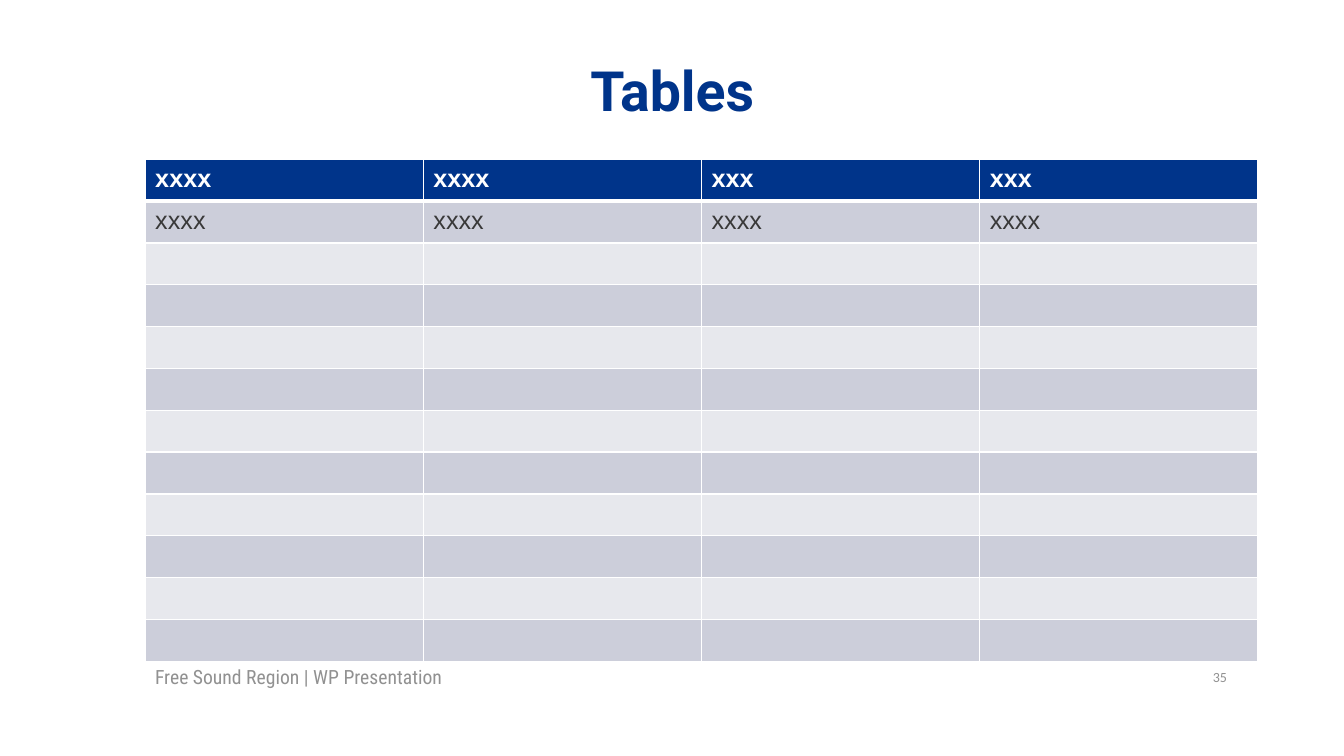
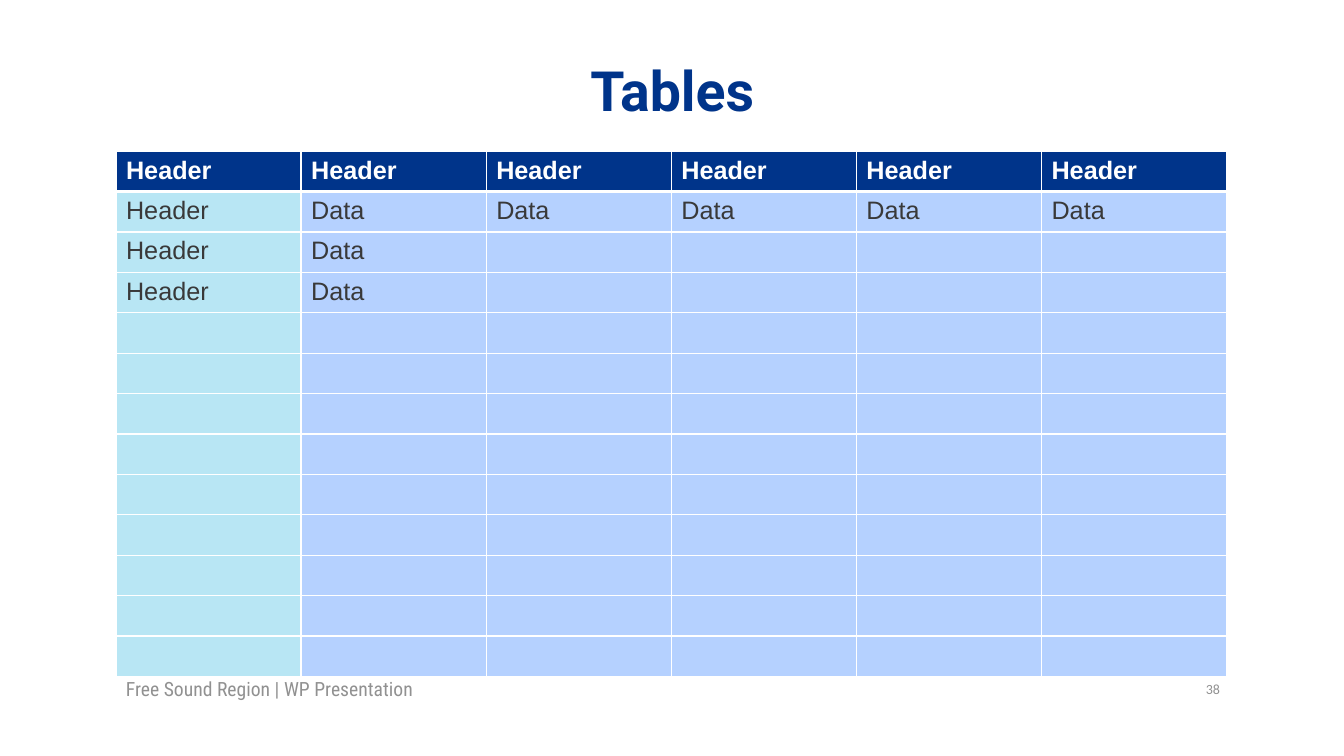
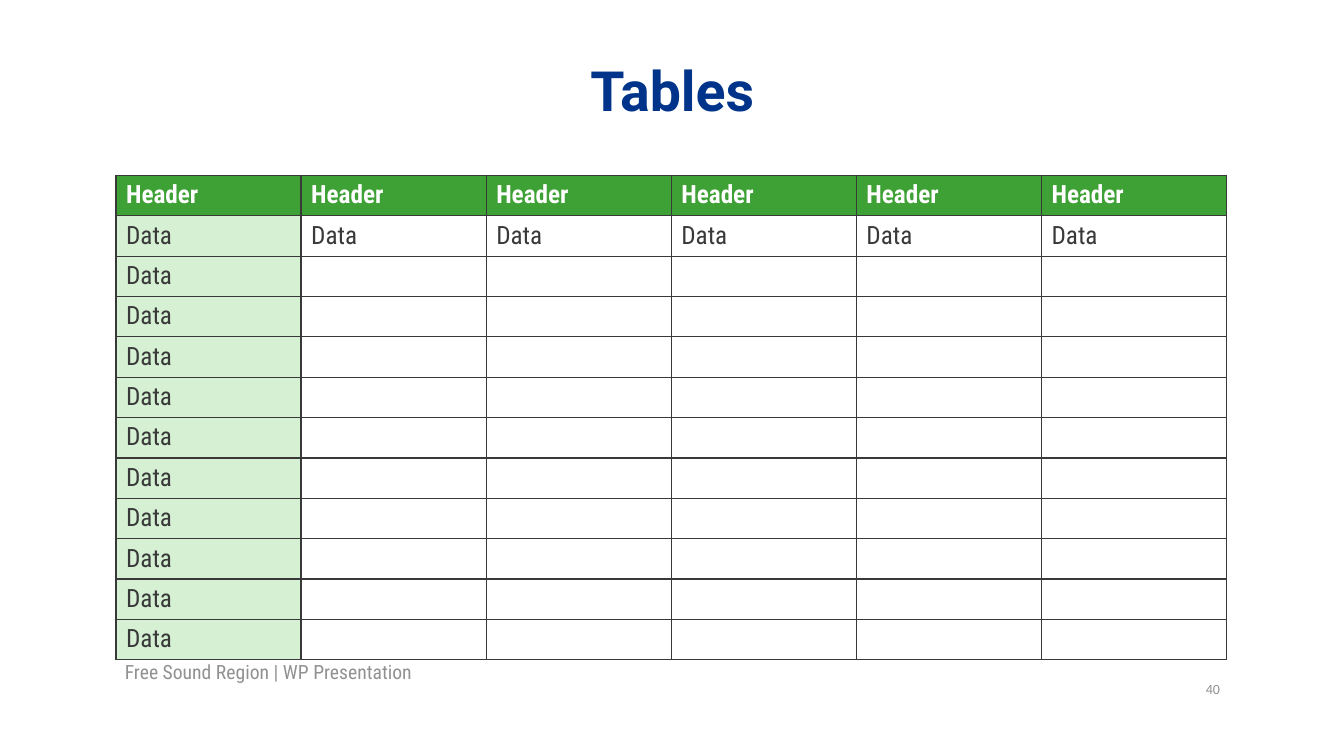
from lxml import etree
from pptx import Presentation
from pptx.dml.color import RGBColor
from pptx.enum.text import MSO_ANCHOR, MSO_AUTO_SIZE, PP_ALIGN
from pptx.oxml.ns import qn
from pptx.util import Inches, Pt

MID = MSO_ANCHOR.MIDDLE
FIXED = MSO_AUTO_SIZE.NONE
LEFT, RIGHT, CENTER = PP_ALIGN.LEFT, PP_ALIGN.RIGHT, PP_ALIGN.CENTER

HUE = {
    "navy": "00348A", "white": "FFFFFF", "ink": "393939", "gray": "919191",
    "dusk": "CCCEDA", "mist": "E7E8ED", "aqua": "B8E6F4", "sky": "B5D1FF",
    "green": "3EA135", "mint": "D5F0D2",
}
CONDENSED = "Roboto Condensed"

deck = Presentation()
deck.slide_width, deck.slide_height = Inches(13.33), Inches(7.5)
COL, ROW = deck.slide_width / 100, deck.slide_height / 100

TABLES = [
    {"page": "35", "at": (10.8, 21.07, 82.8, 66.4), "rows": 12, "cols": 4,
     "text": [["xxxx", "xxxx", "xxx", "xxx"], ["xxxx"] * 4],
     "font": "Arial", "head": "navy", "side": None, "bands": ["dusk", "mist"],
     "line": "white", "rule": 3, "foot": (10.8, 87.87), "num": (86.4, 87.87)},
    {"page": "38", "at": (8.63, 20, 82.65, 69.47), "rows": 13, "cols": 6,
     "text": [["Header"] * 6, ["Header"] + ["Data"] * 5] + [["Header", "Data"]] * 2,
     "font": "Arial", "head": "navy", "side": "aqua", "bands": ["sky"],
     "line": "white", "rule": 3, "foot": (8.63, 89.47), "num": (85.88, 89.47)},
    {"page": "40", "at": (8.63, 23.2, 82.65, 63.07), "rows": 12, "cols": 6,
     "text": [["Header"] * 6, ["Data"] * 6] + [["Data"]] * 10,
     "font": CONDENSED, "head": "green", "side": "mint", "bands": ["white"],
     "line": "ink", "rule": 1, "foot": (8.55, 87.2), "num": (85.88, 89.47)},
]


def place(left, top, width, height):
    return int(left * COL), int(top * ROW), int(width * COL), int(height * ROW)


def write(frame, text, size, face, hue, bold=False, align=LEFT):
    frame.text = text
    para = frame.paragraphs[0]
    para.alignment = align
    font = para.runs[0].font
    font.size, font.name, font.bold = Pt(size), face, bold
    font.color.rgb = RGBColor.from_string(HUE[hue])


for plan in TABLES:
    slide = deck.slides.add_slide(deck.slide_layouts[5])

    title = slide.shapes.title
    title.left, title.top, title.width, title.height = place(11.85, 9.6, 76.35, 5.6)
    frame = title.text_frame
    write(frame, "Tables", 39.6, "Roboto", "navy", True, CENTER)
    frame.paragraphs[0].line_spacing = 0.9
    frame.vertical_anchor, frame.auto_size = MID, FIXED
    frame.margin_top = frame.margin_bottom = 0

    for text, spot, width, size, face, align in [
        ("Free Sound Region | WP Presentation", plan["foot"], 82.65, 14, CONDENSED, LEFT),
        (plan["page"], plan["num"], 5.63, 10, "Calibri", RIGHT),
    ]:
        frame = slide.shapes.add_textbox(*place(*spot, width, 3.33)).text_frame
        write(frame, text, size, face, "gray", align=align)
        frame.word_wrap, frame.vertical_anchor = True, MID

    table = slide.shapes.add_table(plan["rows"], plan["cols"], *place(*plan["at"])).table
    table.first_row = table.horz_banding = False
    for r in range(plan["rows"]):
        words = plan["text"][r] if r < len(plan["text"]) else []
        for c in range(plan["cols"]):
            cell = table.cell(r, c)
            if c < len(words):
                write(cell.text_frame, words[c], 18, plan["font"],
                      "ink" if r else "white", r == 0)
            else:
                para = cell.text_frame.paragraphs[0]
                etree.SubElement(para._p, qn("a:endParaRPr"), sz="1200")

            props = cell._tc.get_or_add_tcPr()
            for side in "LRTB":
                thick = (r, side) in [(0, "B"), (1, "T")]
                width = Pt(plan["rule"] if thick else 1)
                edge = etree.SubElement(props, qn("a:ln" + side), w=str(width))
                paint = etree.SubElement(edge, qn("a:solidFill"))
                etree.SubElement(paint, qn("a:srgbClr"), val=HUE[plan["line"]])

            if r == 0:
                hue = plan["head"]
            elif c == 0 and plan["side"]:
                hue = plan["side"]
            else:
                hue = plan["bands"][(r - 1) % len(plan["bands"])]
            cell.fill.solid()
            cell.fill.fore_color.rgb = RGBColor.from_string(HUE[hue])

deck.save("out.pptx")
